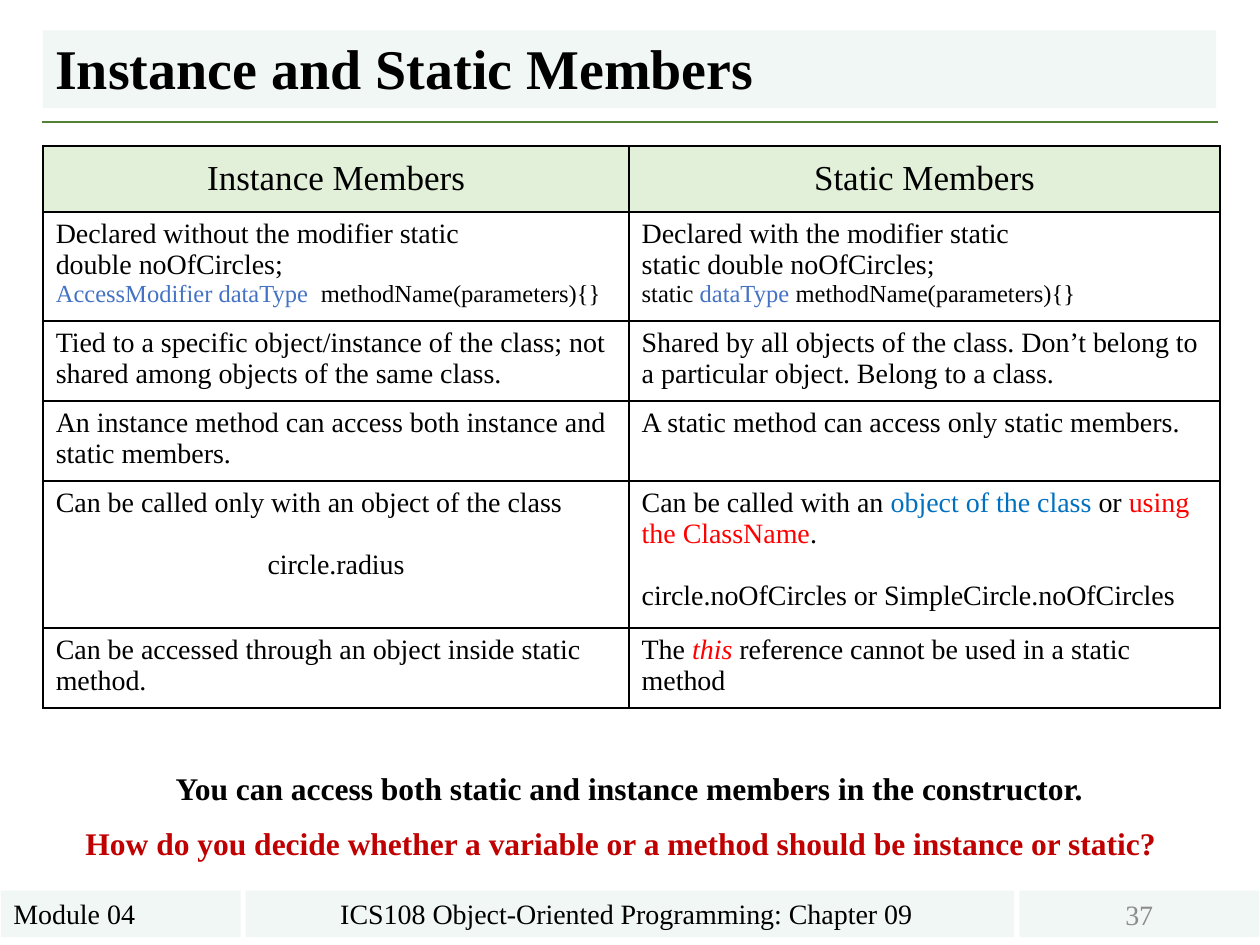
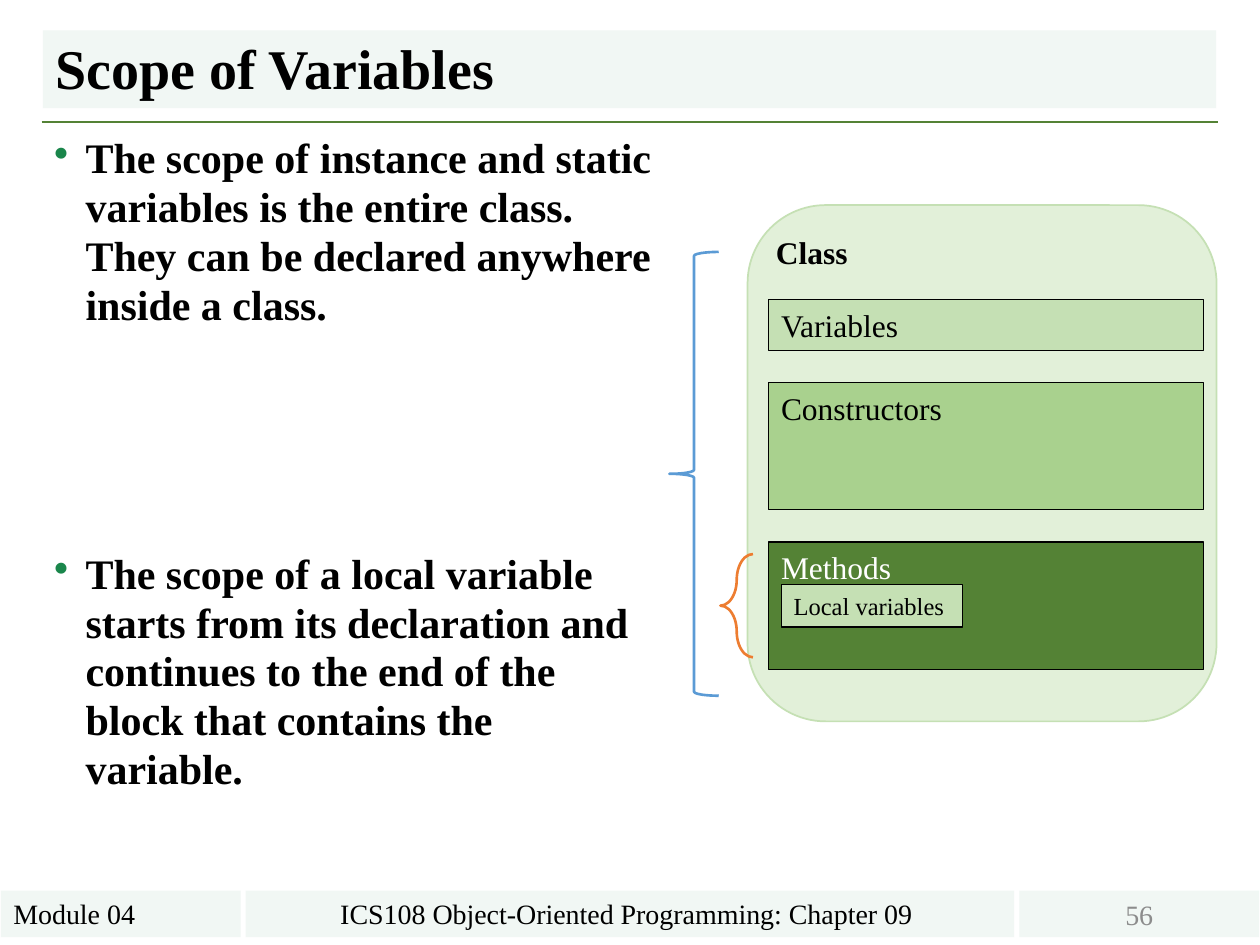
from dataclasses import dataclass
from typing import Any, NamedTuple

import lxml.etree
import pptx
import pptx.dml.color
import pptx.enum.shapes
import pptx.enum.text
import pptx.oxml.ns
import pptx.util

Pt = pptx.util.Pt
RGBColor = pptx.dml.color.RGBColor
Shape = pptx.enum.shapes.MSO_SHAPE
Align = pptx.enum.text.PP_ALIGN
Anchor = pptx.enum.text.MSO_ANCHOR
qn = pptx.oxml.ns.qn

FONT = "Times New Roman"
BLACK = RGBColor(0x00, 0x00, 0x00)
WHITE = RGBColor(0xFF, 0xFF, 0xFF)
BAND = RGBColor(0xF1, 0xF7, 0xF4)
PAGE_GRAY = RGBColor(0x8C, 0x8C, 0x8C)
BULLET_GREEN = RGBColor(0x1A, 0x86, 0x4B)
DARK_GREEN = RGBColor(0x54, 0x82, 0x35)
MID_GREEN = RGBColor(0xA9, 0xD1, 0x8E)
LIGHT_GREEN = RGBColor(0xC5, 0xE0, 0xB4)
PALE_GREEN = RGBColor(0xE2, 0xF0, 0xD9)
TYPE_BLUE = RGBColor(0x44, 0x72, 0xC4)
OBJECT_BLUE = RGBColor(0x00, 0x70, 0xC0)
BRACE_BLUE = RGBColor(0x5B, 0x9B, 0xD5)
BRACE_ORANGE = RGBColor(0xED, 0x7D, 0x31)
RED = RGBColor(0xFF, 0x00, 0x00)
DARK_RED = RGBColor(0xC0, 0x00, 0x00)


class Run(NamedTuple):
    text: str
    color: RGBColor = BLACK
    size: float = 16
    bold: bool = False
    italic: bool = False


class Para(NamedTuple):
    runs: tuple[Run, ...]
    align: Any = Align.LEFT
    before: float = 0
    spacing: float = 1.0
    bullet: bool = False


class Area(NamedTuple):
    left: float
    top: float
    width: float
    height: float

    def points(self) -> tuple:
        return tuple(Pt(length) for length in self)


@dataclass
class Box:
    area: Area
    paras: tuple[Para, ...] = ()
    fill: RGBColor | None = None
    line: RGBColor | None = None
    line_width: float = 0.75
    anchor: Any = Anchor.TOP
    wrap: bool = True
    geometry: Any = Shape.RECTANGLE
    adjustment: float | None = None


def assign(target: Any, values: dict[str, Any]) -> None:
    for name, value in values.items():
        setattr(target, name, value)


def para(text: str, **layout: Any) -> Para:
    return Para((Run(text),), **layout)


def styled(text: str, size: float, color: RGBColor = BLACK, bold: bool = False, **layout: Any) -> Para:
    return Para((Run(text, color, size, bold),), **layout)


def add_bullet(paragraph: Any) -> None:
    properties = paragraph._p.get_or_add_pPr()
    properties.set("marL", str(Pt(18)))
    properties.set("indent", str(Pt(-18)))
    bullet_color = lxml.etree.SubElement(properties, qn("a:buClr"))
    lxml.etree.SubElement(bullet_color, qn("a:srgbClr"), val=str(BULLET_GREEN))
    lxml.etree.SubElement(properties, qn("a:buChar"), char="•")


def write(frame: Any, paras: tuple[Para, ...]) -> None:
    for index, content in enumerate(paras):
        paragraph = frame.add_paragraph() if index else frame.paragraphs[0]
        if content.bullet:
            add_bullet(paragraph)
        assign(paragraph, {
            "alignment": content.align,
            "space_before": Pt(content.before),
            "line_spacing": content.spacing,
        })
        for part in content.runs:
            run = paragraph.add_run()
            run.text = part.text
            assign(run.font, {"name": FONT, "size": Pt(part.size), "bold": part.bold, "italic": part.italic})
            run.font.color.rgb = part.color


def draw_box(slide: Any, box: Box) -> None:
    if box.fill is None and box.line is None:
        drawn = slide.shapes.add_textbox(*box.area.points())
    else:
        drawn = slide.shapes.add_shape(box.geometry, *box.area.points())
        drawn.shadow.inherit = False
        if box.adjustment is not None:
            drawn.adjustments[0] = box.adjustment
        if box.fill is None:
            drawn.fill.background()
        else:
            drawn.fill.solid()
            drawn.fill.fore_color.rgb = box.fill
        if box.line is None:
            drawn.line.fill.background()
        else:
            drawn.line.color.rgb = box.line
            drawn.line.width = Pt(box.line_width)
    assign(drawn.text_frame, {"word_wrap": box.wrap, "vertical_anchor": box.anchor})
    write(drawn.text_frame, box.paras)


def add_framed_slide(deck: Any, title: str, number: int) -> Any:
    slide = deck.slides.add_slide(deck.slide_layouts[6])
    rule = slide.shapes.add_connector(
        pptx.enum.shapes.MSO_CONNECTOR.STRAIGHT, Pt(23.76), Pt(69.84), Pt(696.24), Pt(69.84))
    rule.line.color.rgb = DARK_GREEN
    rule.line.width = Pt(1.5)
    lxml.etree.SubElement(rule._element.spPr, qn("a:effectLst"))
    footer_top, footer_height = 508.9, 26.6
    for box in (
        Box(Area(24.5, 17.4, 670.5, 44.4), (styled(title, 32, bold=True, spacing=0.9),),
            BAND, anchor=Anchor.BOTTOM),
        Box(Area(0.5, footer_top, 137, footer_height), (para("Module 04"),), BAND),
        Box(Area(140.4, footer_top, 439.2, footer_height),
            (para("ICS108 Object-Oriented Programming: Chapter 09 ", align=Align.CENTER),), BAND),
        Box(Area(582.5, footer_top, 137, footer_height),
            (styled(str(number), 16, PAGE_GRAY, align=Align.CENTER),), BAND, anchor=Anchor.MIDDLE),
    ):
        draw_box(slide, box)
    return slide


def border_cell(cell: Any) -> None:
    properties = cell._tc.get_or_add_tcPr()
    for index, side in enumerate(("lnL", "lnR", "lnT", "lnB")):
        border = lxml.etree.Element(qn(f"a:{side}"), w=str(Pt(1)))
        paint = lxml.etree.SubElement(border, qn("a:solidFill"))
        lxml.etree.SubElement(paint, qn("a:srgbClr"), val=str(BLACK))
        properties.insert(index, border)


MEMBER_ROWS = (
    (
        (styled("Instance Members", 20, align=Align.CENTER),),
        (styled("Static Members", 20, align=Align.CENTER),),
    ),
    (
        (
            para("Declared without the modifier static"),
            para("double noOfCircles;"),
            Para((Run("AccessModifier dataType  ", TYPE_BLUE, 14), Run("methodName(parameters){}", size=14))),
        ),
        (
            para("Declared with the modifier static"),
            para("static double noOfCircles;"),
            Para((Run("static ", size=14), Run("dataType ", TYPE_BLUE, 14),
                  Run("methodName(parameters){}", size=14))),
        ),
    ),
    (
        (para("Tied to a specific object/instance of the class; not shared among objects of the same class."),),
        (para("Shared by all objects of the class. Don’t belong to a particular object. Belong to a class."),),
    ),
    (
        (para("An instance method can access both instance and static members."),),
        (para("A static method can access only static members."),),
    ),
    (
        (
            para("Can be called only with an object of the class"),
            para("circle.radius", align=Align.CENTER, before=17.7),
        ),
        (
            Para((Run("Can be called with an "), Run("object of the class ", OBJECT_BLUE), Run("or "),
                  Run("using the ClassName", RED), Run("."))),
            para("circle.noOfCircles or SimpleCircle.noOfCircles", before=17.7),
        ),
    ),
    (
        (para("Can be accessed through an object inside static method."),),
        (Para((Run("The "), Run("this", RED, italic=True),
               Run(" reference cannot be used in a static method"))),),
    ),
)
ROW_HEIGHTS = (37.6, 62.4, 45.7, 45.7, 84, 45.7)
COLUMN_WIDTHS = (334.8, 337.7)


def draw_member_table(slide: Any) -> None:
    area = Area(24.7, 83.5, sum(COLUMN_WIDTHS), sum(ROW_HEIGHTS))
    table = slide.shapes.add_table(len(ROW_HEIGHTS), len(COLUMN_WIDTHS), *area.points()).table
    assign(table, {"first_row": False, "horz_banding": False})
    for column, width in zip(table.columns, COLUMN_WIDTHS):
        column.width = Pt(width)
    for row_index, (row, height, contents) in enumerate(zip(table.rows, ROW_HEIGHTS, MEMBER_ROWS)):
        row.height = Pt(height)
        for cell, paras in zip(row.cells, contents):
            if row_index:
                cell.fill.background()
            else:
                cell.fill.solid()
                cell.fill.fore_color.rgb = PALE_GREEN
                cell.vertical_anchor = Anchor.MIDDLE
            border_cell(cell)
            write(cell.text_frame, paras)


def build_members(deck: Any) -> None:
    slide = add_framed_slide(deck, "Instance and Static Members", 37)
    draw_member_table(slide)
    draw_box(slide, Box(Area(16.6, 467.3, 681, 29), (styled(
        "How do you decide whether a variable or a method should be instance or static? ",
        18, DARK_RED, True, align=Align.CENTER),)))
    draw_box(slide, Box(Area(24.5, 435.6, 670.5, 29), (styled(
        "You can access both static and instance members in the constructor.",
        18, bold=True, align=Align.CENTER),)))


def build_scope(deck: Any) -> None:
    slide = add_framed_slide(deck, "Scope of Variables", 56)
    scope_rules = (
        ("The scope of instance and static variables is the entire class. "
         "They can be declared anywhere inside a class.", 0),
        ("The scope of a local variable starts from its declaration and continues "
         "to the end of the block that contains the variable.", 125.6),
    )
    draw_box(slide, Box(Area(23.8, 73.4, 357.8, 427.7), tuple(
        styled(text, 24, bold=True, before=before, spacing=0.97, bullet=True)
        for text, before in scope_rules)))
    draw_box(slide, Box(Area(427.2, 117.2, 268, 295), fill=PALE_GREEN, line=LIGHT_GREEN,
                        line_width=1, geometry=Shape.ROUNDED_RECTANGLE))
    draw_box(slide, Box(Area(436.3, 129.8, 55.4, 29), (styled("Class", 18, bold=True),), wrap=False))

    section_top, section_gap = 171.2, 18.4
    for name, height, fill, color in (
        ("Variables", 29, LIGHT_GREEN, BLACK),
        ("Constructors", 72.7, MID_GREEN, BLACK),
        ("Methods", 72.7, DARK_GREEN, WHITE),
    ):
        draw_box(slide, Box(Area(439.2, section_top, 248.4, height),
                            (styled(name, 18, color),), fill, BLACK))
        section_top += height + section_gap

    draw_box(slide, Box(Area(446.4, 334, 103.5, 24.3), (styled("Local variables", 14),), LIGHT_GREEN, BLACK))
    for area, color, curve in (
        (Area(382.5, 144, 28.2, 253.6), BRACE_BLUE, 0.08),
        (Area(411.7, 316.6, 18.6, 59), BRACE_ORANGE, 0.93),
    ):
        draw_box(slide, Box(area, line=color, line_width=1.5, geometry=Shape.LEFT_BRACE, adjustment=curve))


def main() -> None:
    deck = pptx.Presentation()
    assign(deck, {"slide_width": Pt(720), "slide_height": Pt(540)})
    build_members(deck)
    build_scope(deck)
    deck.save("out.pptx")


if __name__ == "__main__":
    main()
